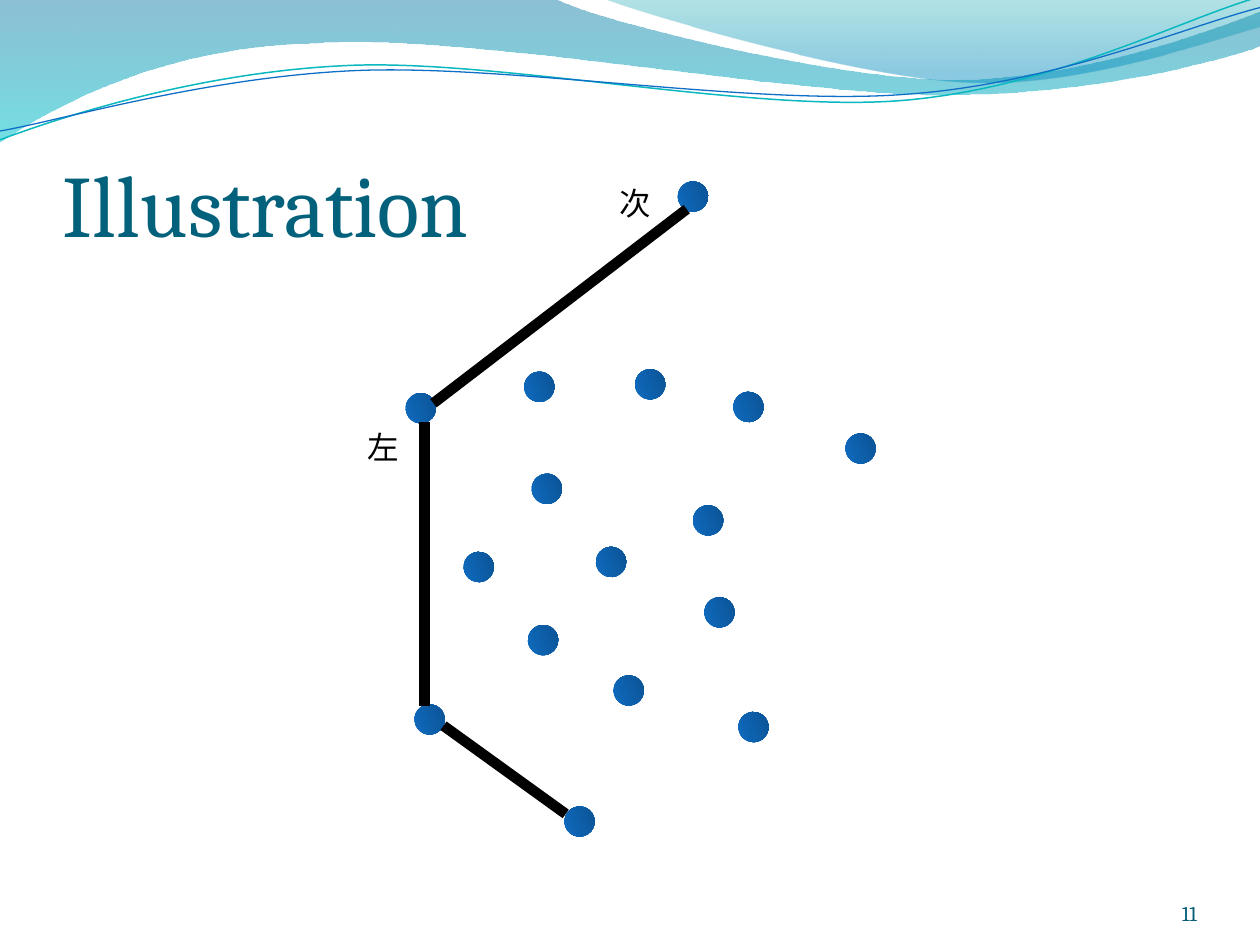
from dataclasses import dataclass
from math import cos, radians, sin

from lxml import etree
from pptx import Presentation
from pptx import util as u
from pptx.dml.color import RGBColor
from pptx.enum import shapes, text
from pptx.oxml.ns import qn

PX = 9144  # one px is a hundredth of an inch


@dataclass(frozen=True)
class Theme:
    font: str = "Cambria"
    title: str = "04617B"
    number: str = "045D75"
    ink: str = "000000"
    teal: str = "0AB8BF"
    blue: str = "0F6FC6"
    dot_stops: tuple = ((0, "0F6FC6", 100), (100, "0B4F8E", 100))
    wide_stops: tuple = ((0, "0074A1", 45), (100, "00C6CF", 55))
    crest_stops: tuple = ((0, "00A1A9", 30), (80, "008BBF", 45))
    title_size: int = 50
    label_size: int = 18
    number_size: int = 12
    edge_width: int = 6


THEME = Theme()

# Each outline is a start point followed by segments: one point for a
# straight line, three points for a cubic curve.
WIDE_BOX = (-1, -1, 1002, 114)
WIDE_WAVE = [
    (0, 0), [(440, -1)],
    [(476, 17), (664, 63), (758, 63)], [(853, 63), (958, 26), (1000, 9)],
    [(1001, 36)],
    [(983, 44), (870, 76), (746, 75)], [(622, 75), (382, 28), (257, 34)],
    [(129, 36), (46, 83), (-1, 113)], [(0, 0)],
]
CREST_BOX = (479, -1, 521, 70)
CREST_WAVE = [
    (479, -1), [(509, 11), (682, 62), (769, 65)],
    [(856, 69), (961, 32), (1000, 21)], [(1000, 0)], [(479, -1)],
]
STRAND_TURN = 357.3
TEAL_BOX = (-2, 22, 1002, 71)
TEAL_STRAND = [
    (0, 111), [(48, 93), (158, 57), (277, 52)],
    [(395, 47), (593, 89), (713, 80)], [(833, 71), (938, 15), (998, -2)],
]
BLUE_BOX = (-2, 30, 1003, 58)
BLUE_STRAND = [
    (0, 104), [(47, 96), (164, 61), (283, 56)],
    [(403, 51), (597, 84), (717, 75)], [(836, 67), (941, 21), (1000, 6)],
]

# Places in the diagram are relative to its box.
DOT_SIZE = 24
DOTS = [
    (47, 418), (40, 171), (140, 235), (166, 499), (304, 424), (137, 355),
    (389, 203), (256, 3), (268, 260), (222, 152), (205, 395), (191, 293),
    (134, 154), (277, 333), (300, 170), (86, 297),
]
HULL_EDGES = [
    ((70, 435), (167, 505)), ((55, 194), (55, 419)), ((263, 25), (62, 179)),
]
LABELS = [("次", 200, 0), ("左", 0, 194)]


def rgb(value):
    return RGBColor.from_string(value)


def set_all(target, values):
    for name, value in values.items():
        setattr(target, name, value)


def add_outline(page, left, top, box, outline, turn=0):
    """Draw an outline, given as it lies after turning, in its unturned box."""
    x, y, width, height = box
    angle = radians(turn)

    def place(point):
        dx, dy = point[0] - x - width / 2, point[1] - y - height / 2
        return (round((width / 2 + dx * cos(angle) + dy * sin(angle)) * PX),
                round((height / 2 - dx * sin(angle) + dy * cos(angle)) * PX))

    start, *segments = outline
    builder = page.shapes.build_freeform(*place(start), scale=1.0)
    builder.add_line_segments([place(segment[-1]) for segment in segments],
                              close=False)
    shape = builder.convert_to_shape()
    shape.shadow.inherit = False
    set_all(shape, {"left": (left + x) * PX, "top": (top + y) * PX,
                    "width": width * PX, "height": height * PX,
                    "rotation": turn})

    track = shape._element.spPr.find(".//" + qn("a:pathLst"))[0]
    for child in list(track):
        track.remove(child)
    track.set("w", str(width * PX))
    track.set("h", str(height * PX))
    commands = {1: "a:lnTo", 3: "a:cubicBezTo"}
    steps = [("a:moveTo", [start])]
    steps += [(commands[len(segment)], segment) for segment in segments]
    for command, points in steps:
        step = etree.SubElement(track, qn(command))
        for px, py in map(place, points):
            etree.SubElement(step, qn("a:pt"), x=str(px), y=str(py))
    if segments[-1][-1] == start:
        etree.SubElement(track, qn("a:close"))
    return shape


def fill_gradient(shape, stops, angle):
    """Fill without a border; angle runs clockwise, opacity is in percent."""
    shape.line.fill.background()
    shape.fill.gradient()
    shape.fill.gradient_angle = 360 - angle
    for stop, (position, color, _) in zip(shape.fill.gradient_stops, stops):
        stop.position = position / 100
        stop.color.rgb = rgb(color)
    colors = shape._element.spPr.findall(".//" + qn("a:srgbClr"))
    for color, (_, _, opacity) in zip(colors, stops):
        if opacity < 100:
            etree.SubElement(color, qn("a:alpha"), val=str(opacity * 1000))


def add_text(page, box, wording, size, color, frame_format,
             align=text.PP_ALIGN.LEFT):
    shape = page.shapes.add_textbox(*(value * PX for value in box))
    set_all(shape.text_frame, frame_format)
    para = shape.text_frame.paragraphs[0]
    para.alignment = align
    span = para.add_run()
    span.text = wording
    set_all(span.font, {"name": THEME.font, "size": u.Pt(size)})
    span.font.color.rgb = rgb(color)


def add_heading_text(page, box, wording, size, color, inset_top=0,
                     align=text.PP_ALIGN.LEFT):
    frame_format = {
        "word_wrap": True, "vertical_anchor": text.MSO_ANCHOR.BOTTOM,
        "margin_left": 0, "margin_right": 0, "margin_bottom": 0,
        "margin_top": inset_top * PX,
    }
    add_text(page, box, wording, size, color, frame_format, align)


def add_wave_banner(page, left, top):
    for box, outline, stops in ((WIDE_BOX, WIDE_WAVE, THEME.wide_stops),
                                (CREST_BOX, CREST_WAVE, THEME.crest_stops)):
        wave = add_outline(page, left, top, box, outline)
        fill_gradient(wave, stops, 90)
    for box, outline, color, width in (
            (TEAL_BOX, TEAL_STRAND, THEME.teal, 0.85),
            (BLUE_BOX, BLUE_STRAND, THEME.blue, 0.75)):
        strand = add_outline(page, left, top, box, outline, STRAND_TURN)
        strand.fill.background()
        strand.line.color.rgb = rgb(color)
        strand.line.width = u.Pt(width)


def add_hull_diagram(page, left, top):
    for x, y in DOTS:
        dot = page.shapes.add_shape(
            shapes.MSO_SHAPE.OVAL, (left + x) * PX, (top + y) * PX,
            DOT_SIZE * PX, DOT_SIZE * PX)
        dot.rotation = 294.8
        dot.shadow.inherit = False
        fill_gradient(dot, THEME.dot_stops, 45)
    label_format = {"word_wrap": False,
                    "auto_size": text.MSO_AUTO_SIZE.SHAPE_TO_FIT_TEXT}
    for wording, x, y in LABELS:
        add_text(page, (left + x, top + y, 45, 40), wording,
                 THEME.label_size, THEME.ink, label_format)
    for (x1, y1), (x2, y2) in HULL_EDGES:
        edge = page.shapes.add_connector(
            shapes.MSO_CONNECTOR.STRAIGHT, (left + x1) * PX, (top + y1) * PX,
            (left + x2) * PX, (top + y2) * PX)
        edge.line.color.rgb = rgb(THEME.ink)
        edge.line.width = u.Pt(THEME.edge_width)
        etree.SubElement(edge._element.spPr, qn("a:effectLst"))


def main():
    deck = Presentation()
    set_all(deck, {"slide_width": 1000 * PX, "slide_height": 750 * PX})
    page = deck.slides.add_slide(deck.slide_layouts[6])
    add_wave_banner(page, 0, 0)
    add_heading_text(page, (867, 695, 83, 40), "11", THEME.number_size,
                     THEME.number, align=text.PP_ALIGN.RIGHT)
    add_heading_text(page, (50, 77, 900, 125), "Illustration",
                     THEME.title_size, THEME.title, inset_top=5)
    add_hull_diagram(page, 282, 141)
    deck.save("out.pptx")


if __name__ == "__main__":
    main()
